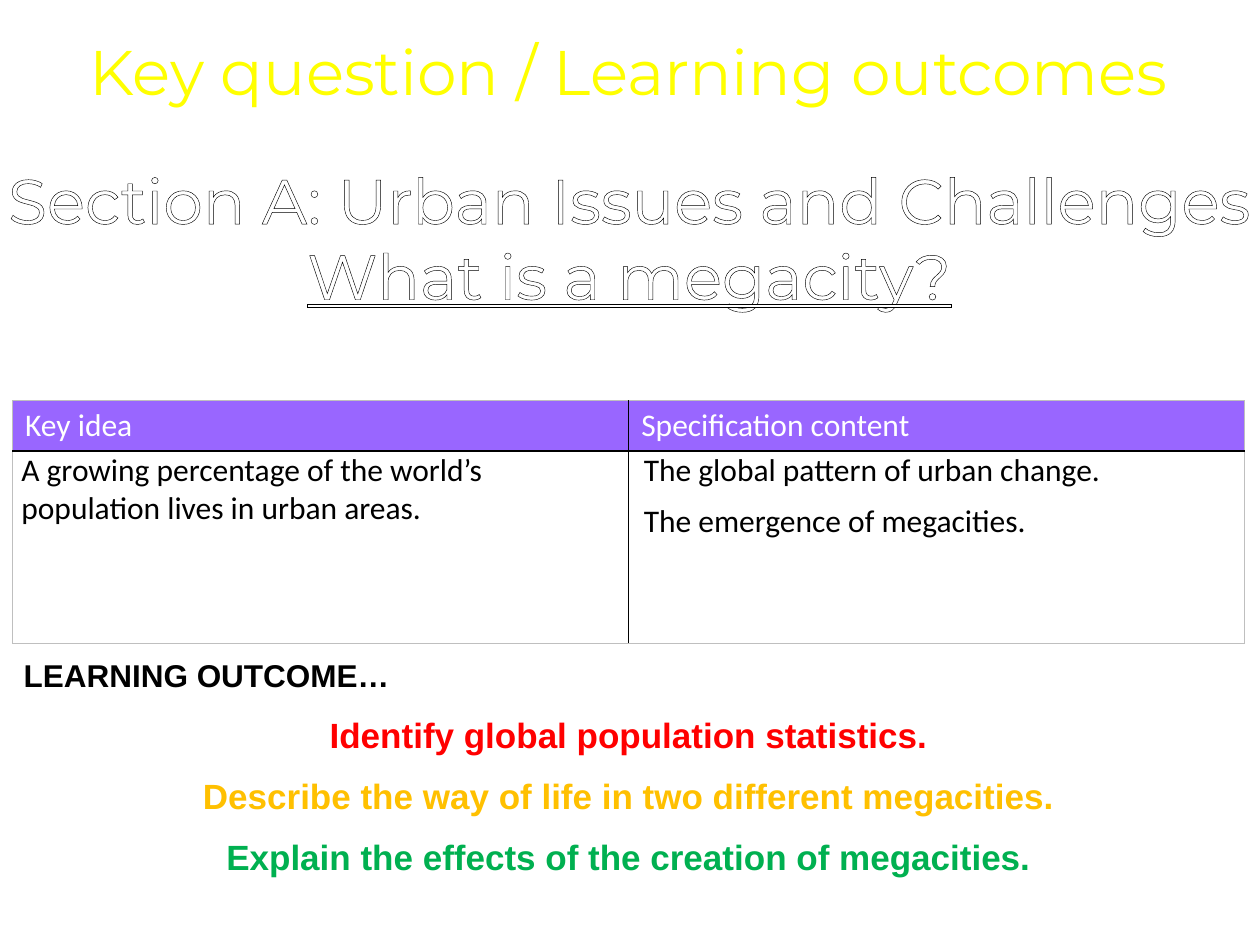
import lxml.etree
import pptx
import pptx.dml.color
import pptx.enum.text
import pptx.oxml.ns
import pptx.util

Inches = pptx.util.Inches
Pt = pptx.util.Pt
RGBColor = pptx.dml.color.RGBColor
ALIGN = pptx.enum.text.PP_ALIGN
AUTO_SIZE = pptx.enum.text.MSO_AUTO_SIZE

BLACK = RGBColor(0x00, 0x00, 0x00)
WHITE = RGBColor(0xFF, 0xFF, 0xFF)
YELLOW = RGBColor(0xFF, 0xFF, 0x00)
RED = RGBColor(0xFF, 0x00, 0x00)
AMBER = RGBColor(0xFF, 0xC0, 0x00)
GREEN = RGBColor(0x00, 0xB0, 0x50)
PURPLE = RGBColor(0x99, 0x66, 0xFF)
GREY = RGBColor(0xBF, 0xBF, 0xBF)


def make_line(tag, width, color):
    line = lxml.etree.Element(pptx.oxml.ns.qn(tag), w=str(int(Pt(width))))
    fill = lxml.etree.SubElement(line, pptx.oxml.ns.qn("a:solidFill"))
    lxml.etree.SubElement(fill, pptx.oxml.ns.qn("a:srgbClr"), val=str(color))
    return line


def write_text(paragraph, text, font="Calibri", size=18, color=BLACK, bold=False,
               underline=False, align=ALIGN.LEFT, before=0, outline=None):
    paragraph.alignment = align
    paragraph.space_before = Pt(before)
    run = paragraph.add_run()
    run.text = text
    run.font.name = font
    run.font.size = Pt(size)
    run.font.color.rgb = color
    run.font.bold = bold
    if underline:
        run.font.underline = True
    if outline:
        properties = run._r.get_or_add_rPr()
        properties.insert(0, make_line("a:ln", outline, BLACK))


def fill_frame(frame, lines):
    for index, (text, style) in enumerate(lines):
        paragraph = frame.add_paragraph() if index else frame.paragraphs[0]
        write_text(paragraph, text, **style)


class LessonSlide:
    heading = dict(font="Montserrat", size=36, align=ALIGN.CENTER)
    outcome = dict(font="Arial", size=20, bold=True, align=ALIGN.CENTER, before=11)

    def __init__(self, presentation):
        self.slide = presentation.slides.add_slide(presentation.slide_layouts[6])

    def text_box(self, left, top, width, height, lines, wrap=False, grow=False):
        shape = self.slide.shapes.add_textbox(
            Inches(left), Inches(top), Inches(width), Inches(height))
        frame = shape.text_frame
        frame.word_wrap = wrap
        frame.auto_size = AUTO_SIZE.SHAPE_TO_FIT_TEXT if grow else AUTO_SIZE.NONE
        fill_frame(frame, lines)

    def table(self, left, top, width, row_heights, rows, body_insets):
        table = self.slide.shapes.add_table(
            len(rows), len(rows[0]), Inches(left), Inches(top),
            Inches(width), Inches(sum(row_heights))).table
        for row, height in zip(table.rows, row_heights):
            row.height = Inches(height)
        for row_index, row in enumerate(rows):
            for column_index, lines in enumerate(row):
                cell = table.cell(row_index, column_index)
                if row_index == 0:
                    cell.fill.solid()
                    cell.fill.fore_color.rgb = PURPLE
                else:
                    cell.fill.background()
                    cell.margin_left = cell.margin_right = Inches(body_insets[column_index])
                    cell.margin_top = cell.margin_bottom = 0
                fill_frame(cell.text_frame, lines)
                self.borders(cell, dict(
                    L=column_index > 0, R=column_index < len(row) - 1,
                    T=row_index > 0, B=row_index < len(rows) - 1))

    def borders(self, cell, inner_sides):
        properties = cell._tc.get_or_add_tcPr()
        for index, (side, inner) in enumerate(inner_sides.items()):
            width, color = (1, BLACK) if inner else (0.5, GREY)
            properties.insert(index, make_line(f"a:ln{side}", width, color))


def main():
    presentation = pptx.Presentation()
    presentation.slide_width = Inches(10)
    presentation.slide_height = Inches(7.5)
    lesson = LessonSlide(presentation)
    heading, outcome = lesson.heading, lesson.outcome

    lesson.text_box(0.1, 0.21, 9.78, 0.71, [
        ("Key question / Learning outcomes", dict(heading, color=YELLOW, outline=2))])
    section = dict(heading, color=WHITE, outline=1.75)
    lesson.text_box(0.1, 1.23, 9.79, 1.68, [
        ("Section A: Urban Issues and Challenges", section),
        ("What is a megacity?", dict(section, underline=True))])
    lesson.text_box(0.09, 5.16, 9.8, 1.92, [
        ("LEARNING OUTCOME…", dict(outcome, size=18, align=ALIGN.LEFT, before=0)),
        ("Identify global population statistics.", dict(outcome, color=RED)),
        ("Describe the way of life in two different megacities.", dict(outcome, color=AMBER)),
        ("Explain the effects of the creation of megacities.", dict(outcome, color=GREEN)),
    ], wrap=True, grow=True)

    header = dict(color=WHITE)
    lesson.table(0.1, 3.18, 9.78, [0.4, 1.53], [
        [[("Key idea", header)], [("Specification content", header)]],
        [[("A growing percentage of the world’s population lives in urban areas.", {})],
         [("The global pattern of urban change.", {}),
          ("The emergence of megacities.", dict(before=7.5))]],
    ], body_insets=[0.07, 0.12])

    presentation.save("out.pptx")


if __name__ == "__main__":
    main()
